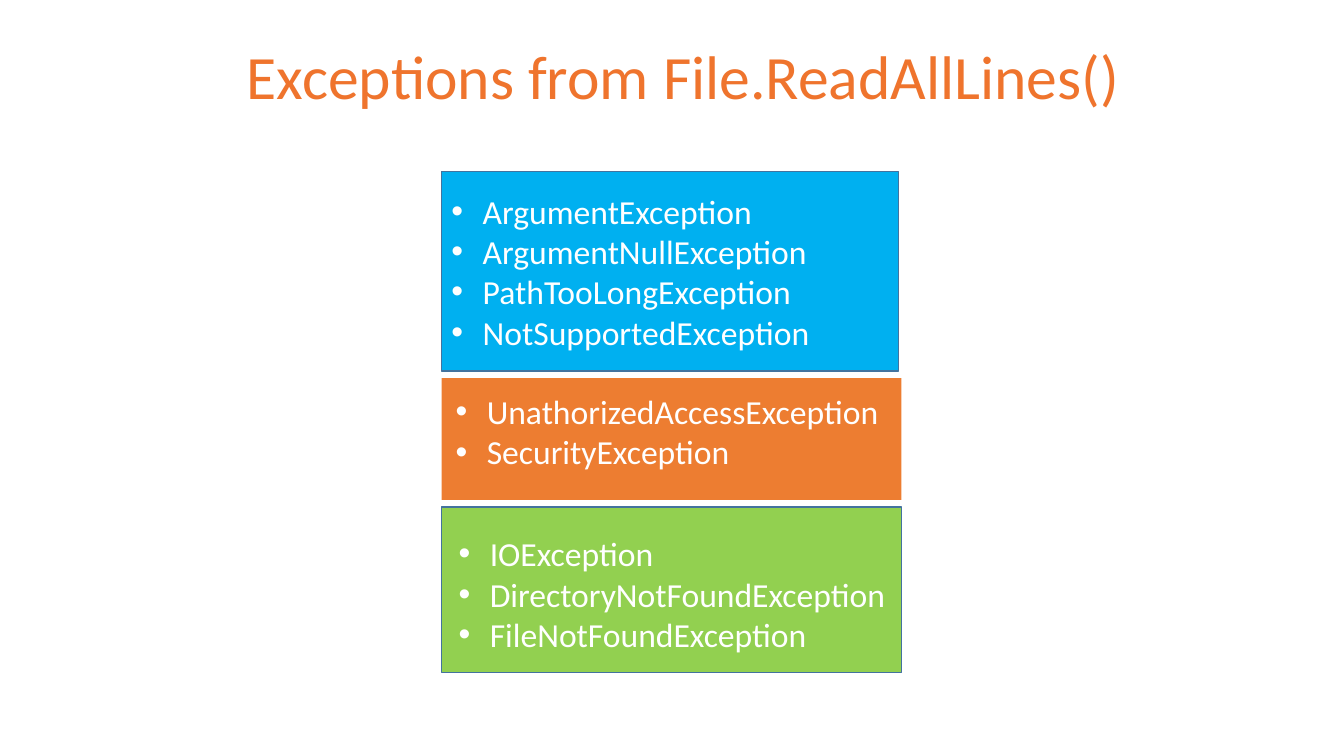
from lxml.etree import SubElement as Sub
from pptx import Presentation
from pptx.dml.color import RGBColor
from pptx.enum.shapes import MSO_SHAPE as Shape
from pptx.enum.text import MSO_ANCHOR as Anchor, PP_ALIGN as Align
from pptx.oxml.ns import qn
from pptx.util import Inches, Pt

TITLE = RGBColor(0xEF, 0x74, 0x2D)
BLUE = RGBColor(0x00, 0xB0, 0xF0)
ORANGE = RGBColor(0xED, 0x7D, 0x31)
GREEN = RGBColor(0x92, 0xD0, 0x50)
EDGE = RGBColor(0x43, 0x73, 0x9E)
WHITE = RGBColor(0xFF, 0xFF, 0xFF)


class Deck:
    face = "Calibri"
    indent = Inches(0.31)

    def __init__(self, wide, high):
        self.prs = Presentation()
        self.prs.slide_width, self.prs.slide_height = Inches(wide), Inches(high)
        self.slide = self.prs.slides.add_slide(self.prs.slide_layouts[5])

    def style(self, para, size, color):
        para.font.name = self.face
        para.font.size = Pt(size)
        para.font.color.rgb = color

    def title(self, text, *box):
        head = self.slide.shapes.title
        head.left, head.top, head.width, head.height = map(Inches, box)
        frame = head.text_frame
        frame.text = text
        frame.vertical_anchor = Anchor.MIDDLE
        para = frame.paragraphs[0]
        para.alignment = Align.CENTER
        para.line_spacing = 0.9
        self.style(para, 44, TITLE)

    def panel(self, fill, edge, *box):
        rect = self.slide.shapes.add_shape(Shape.RECTANGLE, *map(Inches, box))
        rect.shadow.inherit = False
        rect.fill.solid()
        rect.fill.fore_color.rgb = fill
        if edge:
            rect.line.color.rgb = edge
            rect.line.width = Pt(1)
        else:
            rect.line.fill.background()
        return rect

    def label(self, names, *box):
        area = self.slide.shapes.add_textbox(*map(Inches, box))
        area.text_frame.word_wrap = True
        self.bullets(area, names)

    def bullets(self, shape, names):
        frame = shape.text_frame
        frame.text = "\n".join(names)
        for para in frame.paragraphs:
            para.alignment = Align.LEFT
            self.style(para, 24, WHITE)
            props = para._p.get_or_add_pPr()
            props.set("marL", str(self.indent))
            props.set("indent", str(-self.indent))
            mark = Sub(props, qn("a:buFont"))
            mark.set("typeface", "Arial")
            Sub(props, qn("a:buChar")).set("char", "•")
            # Bullets come before the default run style
            last = props.find(qn("a:defRPr"))
            if last is not None:
                props.append(last)


def main():
    deck = Deck(13.33, 7.5)
    deck.title("Exceptions from File.ReadAllLines()", 1.03, 0.06, 11.5, 1.45)

    # Argument errors
    top = deck.panel(BLUE, EDGE, 4.38, 1.7, 4.53, 1.98)
    top.text_frame.vertical_anchor = Anchor.MIDDLE
    deck.bullets(top, ["ArgumentException", "ArgumentNullException",
                       "PathTooLongException", "NotSupportedException"])

    # File system errors
    deck.panel(GREEN, EDGE, 4.38, 5.03, 4.56, 1.64)
    deck.label(["IOException", "DirectoryNotFoundException",
                "FileNotFoundException"], 4.45, 5.24, 5.3, 1.3)

    # Access errors
    deck.panel(ORANGE, None, 4.38, 3.75, 4.56, 1.21)
    deck.label(["UnathorizedAccessException", "SecurityException"],
               4.42, 3.83, 5.56, 0.9)

    deck.prs.save("out.pptx")


if __name__ == "__main__":
    main()
